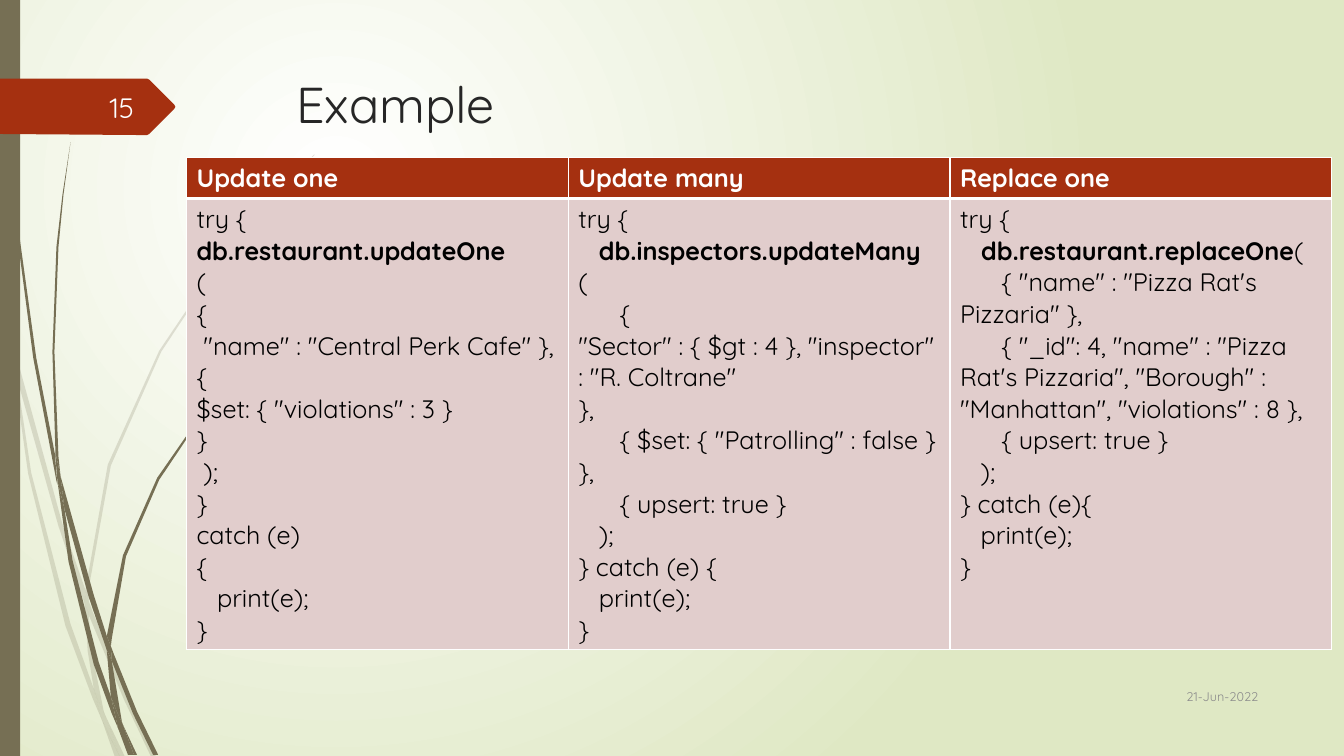
"""Build the slide comparing the update and replace calls."""
from lxml.etree import SubElement
from pptx import Presentation
from pptx.dml.color import RGBColor
from pptx.enum.shapes import MSO_SHAPE
from pptx.enum.text import MSO_ANCHOR, PP_ALIGN
from pptx.oxml.ns import qn
from pptx.util import Pt

FONT = "Quicksand"
HUES = {"red": "A53010", "stem": "766F54", "pink": "E1CDCC", "white": "FFFFFF",
        "lime": "DFE8C4", "ink": "262626", "gray": "8C8C8C", "black": "000000",
        "page": "FEFFFF"}
HEADS = ["*Update one*", "*Update many*", "*Replace one*"]
CODE = [
    ["try {", "*db.restaurant.updateOne*", "(", "{",
     ' "name" : "Central Perk Cafe" },', "{", '$set: { "violations" : 3 }',
     "}", " );", "}", "catch (e)", "{", "   print(e);", "}"],
    ["try {", "   *db.inspectors.updateMany*", "(", "      {",
     '"Sector" : { $gt : 4 }, "inspector" : "R. Coltrane"', "},",
     '      { $set: { "Patrolling" : false } },', "      { upsert: true }",
     "   );", "} catch (e) {", "   print(e);", "}"],
    ["try {", "*   db.restaurant.replaceOne*(",
     '      { "name" : "Pizza Rat\'s Pizzaria" },',
     '      { "_id": 4, "name" : "Pizza Rat\'s Pizzaria", '
     '"Borough" : "Manhattan", "violations" : 8 },',
     "      { upsert: true }", "   );", "} catch (e){", "   print(e);", "}"],
]
PALE = [
    [11, 350, 9, 322, 0, 282, 0, 299, 10, 344],
    [58, 522, 84, 599, 85, 586, 62, 520, 14, 345, 17, 376],
    [92, 607, 88, 596, 88, 610, 123, 694, 150, 751, 155, 751, 127, 692],
    [119, 751, 124, 751, 105, 711],
    [93, 683, 70, 619, 31, 469, 17, 376, 11, 350, 28, 470, 65, 621, 92, 693,
     101, 714, 99, 707],
    [84, 599, 87, 646, 93, 683, 96, 692, 105, 711, 103, 706, 91, 646, 88, 610,
     88, 608],
    [88, 584, 110, 462, 160, 349, 229, 245, 268, 198, 290, 175, 312, 154,
     312, 153, 289, 175, 268, 197, 228, 244, 158, 348, 107, 461, 85, 584,
     85, 586, 88, 596],
    [101, 714, 114, 751, 119, 751],
    [88, 608, 88, 610, 88, 596, 85, 586, 84, 599],
    [96, 692, 93, 683, 99, 707, 101, 714, 119, 751, 105, 711],
]
DARK = [
    [7, 110, 17, 233, 33, 355, 56, 477, 57, 481, 55, 457, 55, 453, 36, 355,
     19, 232, 8, 109, 5, 48, 4, 0, 3, 0, 4, 48],
    [88, 592, 106, 645, 106, 633, 106, 631, 93, 590, 60, 472, 64, 505],
    [113, 649, 110, 641, 111, 656, 132, 708, 152, 749, 157, 749, 136, 706],
    [110, 691, 98, 657, 72, 556, 64, 505, 57, 477, 68, 557, 93, 659, 111, 708,
     117, 722, 116, 717],
    [60, 472, 58, 453, 54, 349, 58, 245, 63, 193, 70, 141, 62, 193, 56, 245,
     52, 349, 55, 449],
    [133, 749, 136, 749, 122, 719],
    [57, 477, 64, 505, 60, 472, 55, 449, 55, 453],
    [111, 633, 125, 552, 158, 476, 205, 406, 231, 374, 245, 359, 261, 344,
     260, 344, 245, 358, 231, 373, 204, 405, 156, 474, 122, 551, 106, 631,
     110, 641],
    [117, 722, 127, 749, 131, 749],
    [106, 645, 110, 691, 116, 706, 122, 719, 121, 716, 111, 656, 109, 651],
    [106, 645, 109, 651, 111, 656, 110, 641, 106, 631, 106, 633],
    [116, 706, 110, 691, 116, 717, 117, 722, 130, 749, 133, 749, 122, 719],
]
ARROW = [0, 78, 146, 78, 148, 79, 173, 104, 174, 106, 173, 108, 148, 133,
         146, 134, 136, 134, 0, 133]
LABELS = [
    ("Example", (204.5, 49, 702, 100.8), MSO_ANCHOR.TOP,
     dict(size=36, hue="ink")),
    ("21-Jun-2022", (815.8, 482.4, 90, 29.5), MSO_ANCHOR.MIDDLE,
     dict(size=9, hue="gray", align=PP_ALIGN.RIGHT)),
    ("15", (41.8, 61.9, 61.2, 28.8), MSO_ANCHOR.MIDDLE,
     dict(size=20, hue="page", align=PP_ALIGN.RIGHT)),
]


def tint(name):
    """Return the named colour."""
    return RGBColor.from_string(HUES[name])


def paint(shape, hue, alpha=100):
    """Fill a shape flatly, without line or shadow."""
    shape.shadow.inherit = False
    shape.line.fill.background()
    shape.fill.solid()
    shape.fill.fore_color.rgb = tint(hue)
    if alpha < 100:
        color = next(shape.element.spPr.iter(qn("a:srgbClr")))
        SubElement(color, qn("a:alpha"), val=str(alpha * 1000))


def draw(slide, nums, hue, alpha=100):
    """Draw a closed outline given in hundredths of an inch."""
    dots = list(zip(nums[::2], nums[1::2]))
    pen = slide.shapes.build_freeform(*dots[0], scale=Pt(0.72))
    pen.add_line_segments(dots[1:], close=True)
    paint(pen.convert_to_shape(), hue, alpha)


def write(frame, lines, size=18, hue="black", align=PP_ALIGN.LEFT):
    """Write lines, with the parts between asterisks in bold."""
    frame.word_wrap = True
    for row, line in enumerate(lines):
        para = frame.add_paragraph() if row else frame.paragraphs[0]
        para.alignment = align
        for part, text in enumerate(line.split("*")):
            if text:
                run = para.add_run()
                run.text = text
                run.font.name = FONT
                run.font.size = Pt(size)
                run.font.bold = part % 2 == 1
                run.font.color.rgb = tint(hue)


def dress(cell, hue, base):
    """Give a cell white borders and a flat fill."""
    props = cell._tc.get_or_add_tcPr()
    for side, width in zip("LRTB", (1, 1, 1, base)):
        line = SubElement(props, qn(f"a:ln{side}"), w=str(Pt(width)))
        fill = SubElement(line, qn("a:solidFill"))
        SubElement(fill, qn("a:srgbClr"), val=HUES["white"])
    cell.fill.solid()
    cell.fill.fore_color.rgb = tint(hue)


def shade(slide):
    """Set the round background gradient."""
    fill = slide.background.fill
    fill.gradient()
    for stop, hue in zip(fill.gradient_stops, ("white", "lime")):
        stop.color.rgb = tint(hue)
    lin = next(slide.element.iter(qn("a:lin")))
    grad = lin.getparent()
    grad.remove(lin)
    ring = SubElement(grad, qn("a:path"), path="circle")
    SubElement(ring, qn("a:fillToRect"), l="50000", t="50000",
               r="100000", b="100000")


def main():
    """Build and save the slide."""
    deck = Presentation()
    deck.slide_width, deck.slide_height = Pt(960), Pt(540)
    slide = deck.slides.add_slide(deck.slide_layouts[6])
    shade(slide)
    for group, alpha in ((PALE, 20), (DARK, 100)):
        for nums in group:
            draw(slide, nums, "stem", alpha)
    bar = slide.shapes.add_shape(MSO_SHAPE.RECTANGLE, 0, 0, Pt(14.4), Pt(540))
    paint(bar, "stem")
    draw(slide, ARROW, "red")
    for text, spot, anchor, form in LABELS:
        frame = slide.shapes.add_textbox(*map(Pt, spot)).text_frame
        frame.vertical_anchor = anchor
        write(frame, [text], **form)
    grid = slide.shapes.add_table(2, 3, Pt(133.2), Pt(112.3),
                                  Pt(818.1), Pt(351.7)).table
    grid.horz_banding = False
    for row, high in zip(grid.rows, (29.5, 322.2)):
        row.height = Pt(high)
    for col, (head, code) in enumerate(zip(HEADS, CODE)):
        grid.columns[col].width = Pt(272.7)
        top, body = grid.cell(0, col), grid.cell(1, col)
        dress(top, "red", 3)
        dress(body, "pink", 1)
        write(top.text_frame, [head], hue="white")
        write(body.text_frame, code)
    deck.save("out.pptx")


if __name__ == "__main__":
    main()
